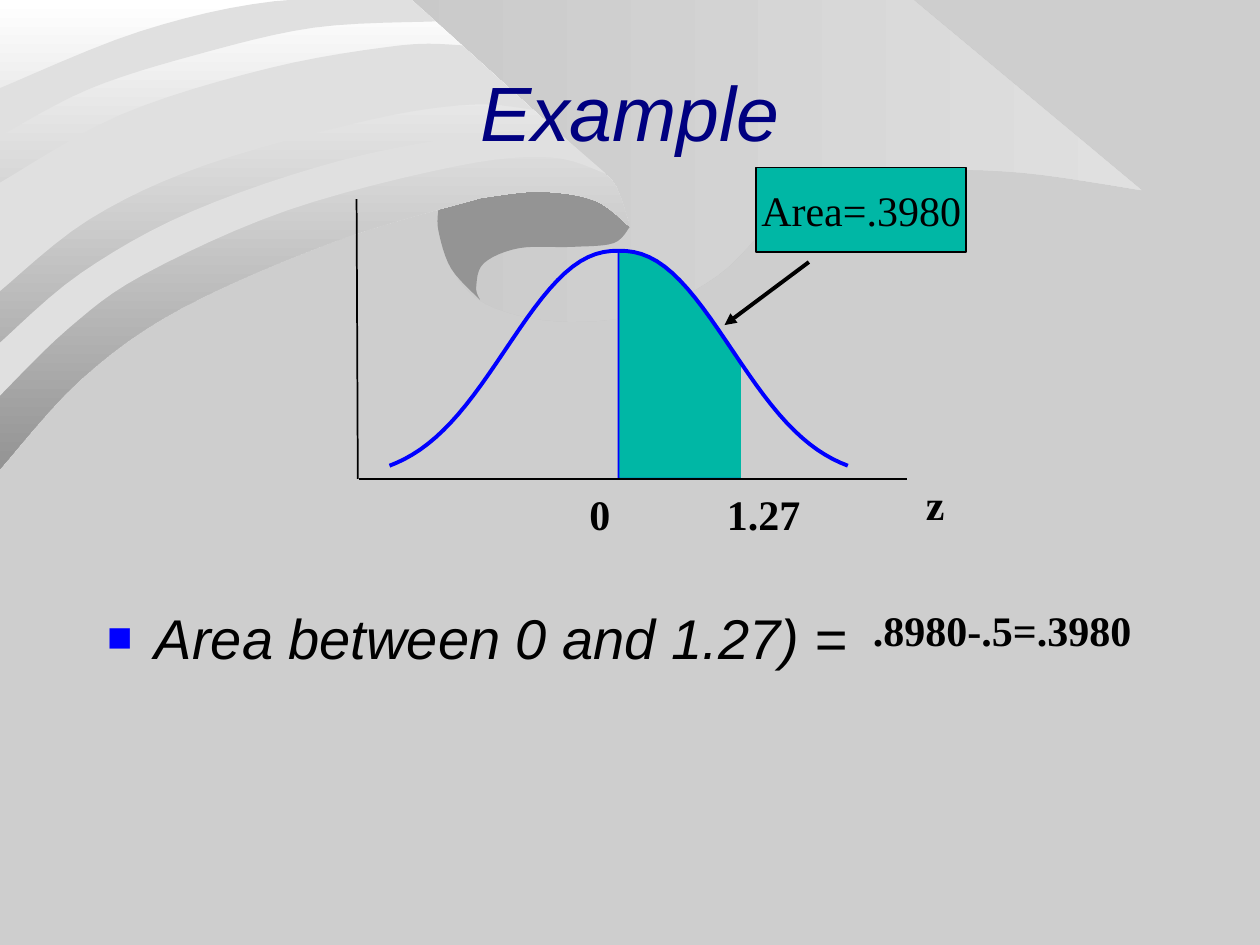
from math import exp

from pptx import Presentation
from pptx.dml.color import RGBColor
from pptx.enum.shapes import MSO_CONNECTOR as Connector, MSO_SHAPE as Preset
from pptx.enum.text import MSO_ANCHOR as Anchor, MSO_AUTO_SIZE as AutoSize, PP_ALIGN as Align
from pptx.oxml.ns import qn
from pptx.util import Inches, Pt
from lxml.etree import SubElement

color = RGBColor.from_string

TITLE = {"name": "Arial", "size": Pt(44), "italic": True}
BODY = {"name": "Arial", "size": Pt(32), "italic": True}
BOX = {"name": "Times New Roman", "size": Pt(24)}
LABEL = {**BOX, "bold": True}
NAVY, BLUE, TEAL, BLACK = "000080", "0000FF", "00B7A5", "000000"
WHITE, PALE, SILVER, BACKDROP, GRAY = "FFFFFF", "E0E0E0", "C9C9C9", "CECECE", "949494"
RIGHTWARD, DOWNWARD = 0, 270


def smooth(anchors, steps=6):
    padded = [anchors[0], *anchors, anchors[-1]]
    points = [anchors[0]]
    for before, start, end, after in zip(padded, padded[1:], padded[2:], padded[3:]):
        for step in range(1, steps + 1):
            t = step / steps
            points.append(tuple(
                b + t * (c - a) / 2 + t**2 * (2 * a - 5 * b + 4 * c - d) / 2
                + t**3 * (3 * b - a - 3 * c + d) / 2
                for a, b, c, d in zip(before, start, end, after)))
    return points


def draw_outline(points, fills=(), angle=RIGHTWARD, line_width=0, close=False):
    corners = [(Inches(x), Inches(y)) for x, y in points]
    builder = shapes.build_freeform(*corners[0])
    builder.add_line_segments(corners[1:], close=close)
    shape = builder.convert_to_shape()
    shape.shadow.inherit = False
    if len(fills) == 2:
        shape.fill.gradient()
        shape.fill.gradient_angle = angle
        for stop, value in zip(shape.fill.gradient_stops, fills):
            stop.color.rgb = color(value)
    elif fills:
        shape.fill.solid()
        shape.fill.fore_color.rgb = color(fills[0])
    else:
        shape.fill.background()
    if line_width:
        shape.line.color.rgb = color(BLUE)
        shape.line.width = Pt(line_width)
    else:
        shape.line.fill.background()


presentation = Presentation()
presentation.slide_width = Inches(10)
presentation.slide_height = Inches(7.5)
slide = presentation.slides.add_slide(presentation.slide_layouts[1])
slide.background.fill.solid()
slide.background.fill.fore_color.rgb = color(BACKDROP)
shapes = slide.shapes

lip = [(3.82, 1.57), (4.28, 1.52), (4.72, 1.59), (5, 1.8)]
fan_rim = [(3.71, 1.62), (3.57, 1.83), (3.58, 2.12), (3.85, 2.41), (4.41, 2.55), (5.09, 2.49),
           (5.69, 2.19), (6.14, 1.76), (6.6, 1.49), (7.26, 1.36), (8.1, 1.37), (9.06, 1.51)]
fan_top = [(7.25, 0), (2.98, 0)]
curl_inside = [(5, 1.8), (4.87, 1.93), (4.54, 1.96), (4.12, 1.97), (3.84, 2.09), (3.78, 2.28),
               (3.81, 2.38)]
curl_back = [(3.81, 2.38), (3.58, 2.13), (3.48, 1.83), (3.48, 1.66)]
sweep_bottom = [(0, 3.72), (0.64, 3.01), (1.43, 2.45), (2.67, 1.91), (3.82, 1.57)]
sweep_fold = [(5, 1.8), (4.89, 1.48), (4.76, 1.35)]
sweep_top = [(3.27, 0), (0, 0)]
high_stripe_top = [(0, 0.7), (1.11, 0.25), (2.18, 0.01), (3.27, 0)]
high_stripe_bottom = [(3.46, 0.17), (2.49, 0.22), (1.54, 0.44), (0.7, 0.71), (0, 1.08)]
middle_stripe_top = [(0, 1.45), (0.96, 0.91), (2.14, 0.54), (3.18, 0.36), (3.67, 0.36)]
middle_stripe_bottom = [(4.23, 0.87), (3.74, 0.83), (2.94, 0.95), (1.63, 1.31), (0.71, 1.74),
                        (0, 2.31)]
low_stripe_top = [(0, 2.72), (0.64, 2.17), (1.52, 1.68), (2.72, 1.27), (3.85, 1.06), (4.43, 1.05)]
low_stripe_bottom = [(4.81, 1.38), (4.37, 1.25), (3.62, 1.32), (2.28, 1.67), (1.14, 2.18),
                     (0.54, 2.61), (0, 3.14)]

for edges, fills, angle in [
        ([fan_rim, fan_top], [SILVER, PALE], RIGHTWARD),
        ([lip, curl_inside, curl_back], [GRAY], RIGHTWARD),
        ([sweep_bottom, lip, sweep_fold, sweep_top], [WHITE, GRAY], DOWNWARD),
        ([high_stripe_top, high_stripe_bottom], [PALE], RIGHTWARD),
        ([middle_stripe_top, middle_stripe_bottom], [PALE], RIGHTWARD),
        ([low_stripe_top, low_stripe_bottom], [PALE], RIGHTWARD)]:
    outline = [point for edge in edges for point in smooth(edge)]
    draw_outline(outline, fills, angle, close=True)

title, body = shapes.title, slide.placeholders[1]
for placeholder, box, anchor in [(title, (0.75, 0.25, 8.5, 1.25), Anchor.MIDDLE),
                                 (body, (0.75, 4.74, 8.5, 1.93), Anchor.TOP)]:
    placeholder.left, placeholder.top, placeholder.width, placeholder.height = map(Inches, box)
    placeholder.text_frame.vertical_anchor = anchor
    placeholder.text_frame.auto_size = AutoSize.NONE
    shapes._spTree.append(placeholder._element)

mean_x, cutoff_x = 4.91, 5.88
axis_y, peak_height = 3.8, 1.81
spread, steepness = 1.15, 2.29
area_steps, half_steps = 16, 30
step_width = (cutoff_x - mean_x) / area_steps
curve = []
for step in range(-half_steps, half_steps + 1):
    offset = step * step_width
    height = peak_height * exp(-((abs(offset) / spread) ** steepness))
    curve.append((mean_x + offset, axis_y - height))
area_top = curve[half_steps:half_steps + area_steps + 1]
draw_outline([(cutoff_x, axis_y), (mean_x, axis_y), *area_top], [TEAL], line_width=1)

vertical_axis = (2.83, 1.58, 2.84, axis_y)
horizontal_axis = (2.85, axis_y, 7.2, axis_y)
area_arrow = (6.42, 2.08, 5.75, 2.58)
for ends, width in [(vertical_axis, 1), (horizontal_axis, 1), (area_arrow, 2.25)]:
    connector = shapes.add_connector(Connector.STRAIGHT, *map(Inches, ends))
    connector.line.color.rgb = color(BLACK)
    connector.line.width = Pt(width)
    if ends == area_arrow:
        SubElement(connector.line._get_or_add_ln(), qn("a:tailEnd"), type="triangle")
    SubElement(connector._element.spPr, qn("a:effectLst"))
draw_outline(curve, line_width=2.25)

area_box = shapes.add_shape(Preset.RECTANGLE, *map(Inches, (6, 1.33, 1.67, 0.67)))
area_box.shadow.inherit = False
area_box.fill.solid()
area_box.fill.fore_color.rgb = color(TEAL)
area_box.line.color.rgb = color(BLACK)
area_box.line.width = Pt(1)
area_box.text_frame.word_wrap = False
area_box.text_frame.vertical_anchor = Anchor.MIDDLE

texts = [(title, "Example", Align.CENTER, TITLE, NAVY),
         (body, "Area between 0 and 1.27) =", Align.LEFT, BODY, BLACK),
         (area_box, "Area=.3980", Align.CENTER, BOX, BLACK)]
for text, box in [("1.27", (5.67, 3.83, 0.83, 0.5)), ("0", (4.58, 3.83, 0.42, 0.5)),
                  ("z", (7.25, 3.75, 0.5, 0.5)), (".8980-.5=.3980", (6.83, 4.75, 2.67, 0.5))]:
    label = shapes.add_textbox(*map(Inches, box))
    label.text_frame.word_wrap = True
    texts.append((label, text, Align.LEFT, LABEL, BLACK))

for shape, text, align, formats, text_color in texts:
    paragraph = shape.text_frame.paragraphs[0]
    paragraph.alignment = align
    paragraph.space_before = Pt(0)
    run = paragraph.add_run()
    run.text = text
    run.font.color.rgb = color(text_color)
    for name, value in formats.items():
        setattr(run.font, name, value)

bullet = body.text_frame.paragraphs[0]._p.get_or_add_pPr()
bullet.set("marL", str(Inches(0.38)))
bullet.set("indent", str(-Inches(0.38)))
SubElement(SubElement(bullet, qn("a:buClr")), qn("a:srgbClr"), val=BLUE)
for tag, attributes in [("a:buSzPct", {"val": "75000"}), ("a:buFont", {"typeface": "Arial"}),
                        ("a:buChar", {"char": "■"})]:
    SubElement(bullet, qn(tag), attributes)

presentation.save("out.pptx")
